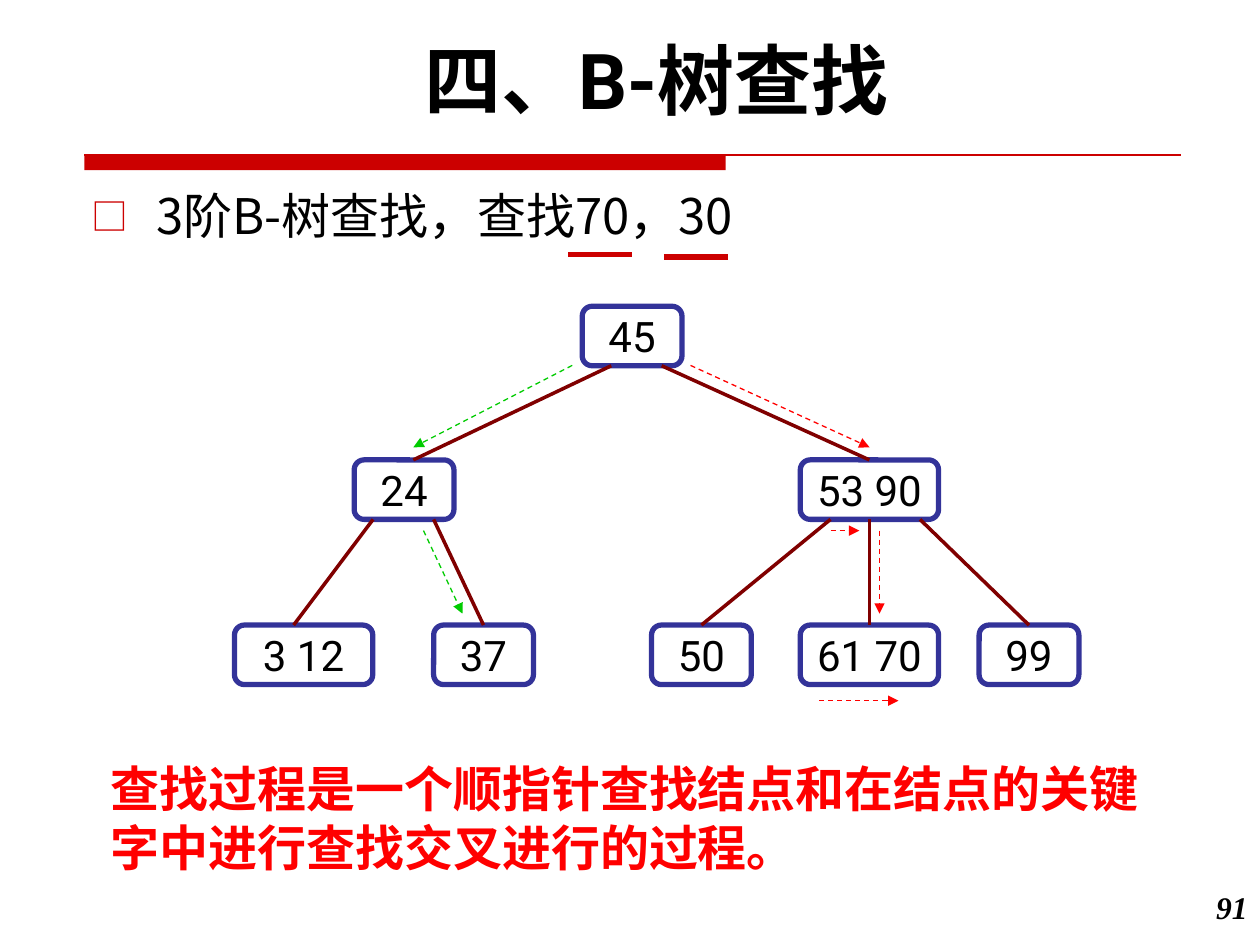
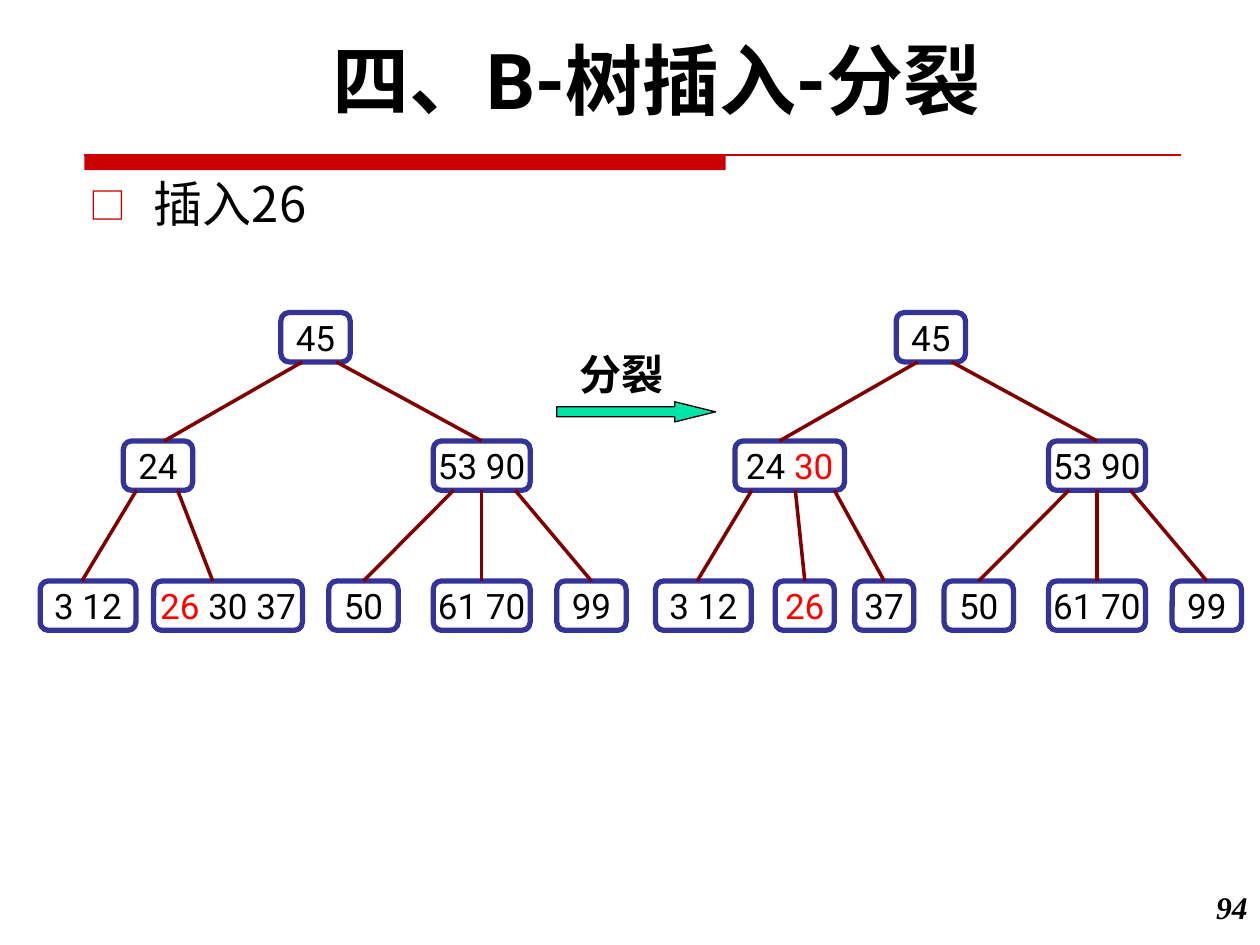
from dataclasses import dataclass

from lxml.etree import SubElement
from pptx import Presentation
from pptx.dml.color import RGBColor
from pptx.enum.dml import MSO_LINE
from pptx.enum.shapes import MSO_CONNECTOR, MSO_SHAPE
from pptx.enum.text import MSO_ANCHOR, MSO_AUTO_SIZE, PP_ALIGN
from pptx.oxml.ns import qn
from pptx.util import Pt

BLACK = RGBColor(0x00, 0x00, 0x00)
RED = RGBColor(0xFF, 0x00, 0x00)
GREEN = RGBColor(0x00, 0xCC, 0x00)
BAND_RED = RGBColor(0xCC, 0x00, 0x00)
NODE_BLUE = RGBColor(0x33, 0x33, 0x99)
EDGE_MAROON = RGBColor(0x80, 0x00, 0x00)
ARROW_TEAL = RGBColor(0x00, 0xE4, 0xA8)
LATIN_FONT = "Roboto"
CHINESE_FONT = "Noto Sans CJK SC"
SERIF_FONT = "Times New Roman"


@dataclass
class Node:
    """One tree node: its keys, level, left edge, width and highlighted key."""
    text: str
    level: int
    left: float
    width: float
    red: str = ""


@dataclass
class Edge:
    """A branch; without start or end it joins the middle of that side."""
    parent: str
    child: str
    start: float | None = None
    end: float | None = None


@dataclass
class Scale:
    """Level tops, node height and text size of a tree."""
    levels: tuple
    height: float
    size: float


SEARCH_SCALE = Scale((0, 87.8, 182.2), 34, 24)
SEARCH_NODES = {
    "root": Node("45", 0, 198.7, 57),
    "left": Node("24", 1, 68.4, 57),
    "right": Node("53 90", 1, 323.3, 79),
    "leaf1": Node("3 12", 2, 0, 79),
    "leaf2": Node("37", 2, 113.8, 57),
    "leaf4": Node("50", 2, 238.3, 57),
    "leaf5": Node("61 70", 2, 323.3, 79),
    "leaf6": Node("99", 2, 425.5, 57),
}
SEARCH_EDGES = [
    Edge("root", "left", 215.3, 102.2), Edge("root", "right", 244.1),
    Edge("left", "leaf1", 79.2, 33.8), Edge("left", "leaf2", 113.8),
    Edge("right", "leaf4", 340.6), Edge("right", "leaf5"), Edge("right", "leaf6", 391.7),
]
SEARCH_STEPS = [
    (RED, 260.6, 33.8, 362.9, 80.6),
    (RED, 368.6, 128.2, 368.6, 175.7),
    (RED, 340.6, 128.2, 357.1, 128.2),
    (RED, 334.1, 225.4, 379.4, 225.4),
    (GREEN, 193, 33.8, 102.2, 80.6),
    (GREEN, 108, 128.2, 130.3, 175.7),
]

INSERT_SCALE = Scale((0, 73.4, 153.4), 28.2, 20)
INSERT_NODES = {
    "root": Node("45", 0, 137.5, 39.6),
    "right": Node("53 90", 1, 224.6, 55.4),
    "leaf1": Node("3 12", 2, 0, 54.7),
    "leaf4": Node("50", 2, 164.9, 39.6),
    "leaf5": Node("61 70", 2, 224.6, 55.4),
    "leaf6": Node("99", 2, 295.2, 39.6),
}
INSERT_EDGES = [
    Edge("root", "left", 149.8, 70.8), Edge("root", "right", 169.2),
    Edge("left", "leaf1", 55, 23.8),
    Edge("right", "leaf4", 236.2), Edge("right", "leaf5"), Edge("right", "leaf6", 271.4),
]
BEFORE_NODES = INSERT_NODES | {
    "left": Node("24", 1, 47.5, 39.6),
    "leaf2": Node("26 30 37", 2, 64.8, 85, "26"),
}
BEFORE_EDGES = INSERT_EDGES + [Edge("left", "leaf2", 78.5, 98.6)]
AFTER_NODES = INSERT_NODES | {
    "left": Node("24 30", 1, 45.4, 62.6, "30"),
    "leaf2": Node("26", 2, 68.4, 33.8, "26"),
    "leaf3": Node("37", 2, 113.8, 33.8),
}
AFTER_EDGES = INSERT_EDGES + [Edge("left", "leaf2", 79.9), Edge("left", "leaf3", 102.2)]


def format_run(run, size, color=BLACK, font=LATIN_FONT, bold=False, italic=False):
    """Set size, colour, Latin and Chinese fonts of a run."""
    run.font.size = Pt(size)
    run.font.color.rgb = color
    run.font.name = font
    run.font.bold = bold
    run.font.italic = italic
    SubElement(run.font._element, qn("a:ea"), typeface=CHINESE_FONT)


def add_text(slide, text, left, top, width, height, size, align=PP_ALIGN.LEFT, **style):
    """Add a wrapped one-paragraph text box and return its paragraph."""
    text_frame = slide.shapes.add_textbox(Pt(left), Pt(top), Pt(width), Pt(height)).text_frame
    text_frame.word_wrap = True
    text_frame.text = text
    paragraph = text_frame.paragraphs[0]
    paragraph.alignment = align
    format_run(paragraph.runs[0], size, **style)
    return paragraph


def add_line(slide, start_x, start_y, end_x, end_y, color, width, arrow=False):
    """Add a straight line, dashed with an arrowhead if arrow is set."""
    line = slide.shapes.add_connector(
        MSO_CONNECTOR.STRAIGHT, Pt(start_x), Pt(start_y), Pt(end_x), Pt(end_y))
    line.line.color.rgb = color
    line.line.width = Pt(width)
    if arrow:
        line.line.dash_style = MSO_LINE.DASH
        SubElement(line.line._get_or_add_ln(), qn("a:tailEnd"), type="triangle")
    SubElement(line._element.spPr, qn("a:effectLst"))
    return line


def add_node(slide, node, left, top, scale):
    """Add a rounded node box, its highlighted key in red."""
    shape = slide.shapes.add_shape(
        MSO_SHAPE.ROUNDED_RECTANGLE, Pt(left + node.left), Pt(top + scale.levels[node.level]),
        Pt(node.width), Pt(scale.height))
    shape.shadow.inherit = False
    shape.fill.background()
    shape.line.color.rgb = NODE_BLUE
    shape.line.width = Pt(3)
    text_frame = shape.text_frame
    text_frame.word_wrap = False
    text_frame.vertical_anchor = MSO_ANCHOR.MIDDLE
    paragraph = text_frame.paragraphs[0]
    paragraph.alignment = PP_ALIGN.CENTER
    parts = node.text.partition(node.red) if node.red else (node.text,)
    for part in filter(None, parts):
        run = paragraph.add_run()
        run.text = part
        format_run(run, scale.size, RED if part == node.red else BLACK)
    return shape


def add_tree(slide, left, top, nodes, edges, scale):
    """Draw a B-tree with its top left corner at the given point."""
    shapes = {name: add_node(slide, node, left, top, scale) for name, node in nodes.items()}
    for edge in edges:
        parent, child = nodes[edge.parent], nodes[edge.child]
        start = parent.left + parent.width / 2 if edge.start is None else edge.start
        end = child.left + child.width / 2 if edge.end is None else edge.end
        line = add_line(
            slide, left + start, top + scale.levels[parent.level] + scale.height,
            left + end, top + scale.levels[child.level], EDGE_MAROON, 2)
        if edge.start is None:
            line.begin_connect(shapes[edge.parent], 2)
        if edge.end is None:
            line.end_connect(shapes[edge.child], 0)


def add_band(slide, left, top, width):
    """Draw the thick and thin red rule below the title."""
    band = slide.shapes.add_shape(
        MSO_SHAPE.RECTANGLE, Pt(left), Pt(top), Pt(width * 0.585), Pt(8.6))
    band.shadow.inherit = False
    band.fill.solid()
    band.fill.fore_color.rgb = BAND_RED
    band.line.fill.background()
    add_line(slide, left, top, left + width, top, BAND_RED, 0.75)


def add_bullet(slide, text, left, top, width, height):
    """Add the body text with its hollow square bullet."""
    paragraph = add_text(slide, text, left, top, width, height, 28, font=CHINESE_FONT)
    properties = paragraph._p.get_or_add_pPr()
    properties.set("marL", str(Pt(37)))
    properties.set("indent", str(-Pt(37)))
    color = SubElement(properties, qn("a:buClr"))
    SubElement(color, qn("a:srgbClr"), val=str(BAND_RED))
    SubElement(properties, qn("a:buSzPct"), val="75000")
    SubElement(properties, qn("a:buFont"), typeface=CHINESE_FONT)
    SubElement(properties, qn("a:buChar"), char="□")


def add_titled_slide(presentation, title_text, number):
    """Add a slide with title, red band and page number."""
    slide = presentation.slides.add_slide(presentation.slide_layouts[5])
    title = slide.shapes.title
    title.left, title.top, title.width, title.height = Pt(42), Pt(15), Pt(666), Pt(60.5)
    text_frame = title.text_frame
    text_frame.text = title_text
    text_frame.auto_size = MSO_AUTO_SIZE.NONE
    text_frame.vertical_anchor = MSO_ANCHOR.TOP
    paragraph = text_frame.paragraphs[0]
    paragraph.alignment = PP_ALIGN.CENTER
    format_run(paragraph.runs[0], 44, bold=True)
    add_band(slide, 48.2, 88.6, 626.4)
    add_text(slide, number, 672, 504, 48, 36, 18, PP_ALIGN.RIGHT,
             font=SERIF_FONT, bold=True, italic=True)
    return slide


def add_split_arrow(slide, left, top):
    """Draw the labelled arrow between the two trees."""
    arrow = slide.shapes.add_shape(
        MSO_SHAPE.RIGHT_ARROW, Pt(left), Pt(top + 33.8), Pt(90.7), Pt(11.5))
    arrow.adjustments[0] = 0.5
    arrow.adjustments[1] = 2.02
    arrow.shadow.inherit = False
    arrow.fill.solid()
    arrow.fill.fore_color.rgb = ARROW_TEAL
    arrow.line.color.rgb = BLACK
    arrow.line.width = Pt(0.75)
    add_text(slide, "分裂", left, top, 73.4, 36, 24, PP_ALIGN.CENTER, bold=True)


def build_search_slide(presentation):
    """Build the slide on searching a B-tree."""
    slide = add_titled_slide(presentation, "四、B-树查找", "91")
    left, top = 134, 175
    add_tree(slide, left, top, SEARCH_NODES, SEARCH_EDGES, SEARCH_SCALE)
    for color, start_x, start_y, end_x, end_y in SEARCH_STEPS:
        add_line(slide, left + start_x, top + start_y, left + end_x, top + end_y,
                 color, 0.75, arrow=True)
    add_text(slide, "查找过程是一个顺指针查找结点和在结点的关键字中进行查找交叉进行的过程。",
             56.2, 430, 618.5, 75, 28, color=RED, font=SERIF_FONT, bold=True)
    add_bullet(slide, "3阶B-树查找，查找70，30", 45.4, 102.2, 674, 60)
    for underline_left, underline_top in ((324.7, 145.4), (379.4, 146.9)):
        add_line(slide, underline_left, underline_top, underline_left + 36.4, underline_top,
                 BAND_RED, 3)


def build_insert_slide(presentation):
    """Build the slide on splitting a node after an insertion."""
    slide = add_titled_slide(presentation, "四、B-树插入-分裂", "94")
    add_bullet(slide, "插入26", 43.9, 95.8, 674, 60)
    add_tree(slide, 23, 178.6, BEFORE_NODES, BEFORE_EDGES, INSERT_SCALE)
    add_tree(slide, 374.6, 178.6, AFTER_NODES, AFTER_EDGES, INSERT_SCALE)
    add_split_arrow(slide, 318.2, 195.8)


def main():
    """Create the presentation and save it."""
    presentation = Presentation()
    presentation.slide_width, presentation.slide_height = Pt(720), Pt(540)
    build_search_slide(presentation)
    build_insert_slide(presentation)
    presentation.save("out.pptx")


if __name__ == "__main__":
    main()
